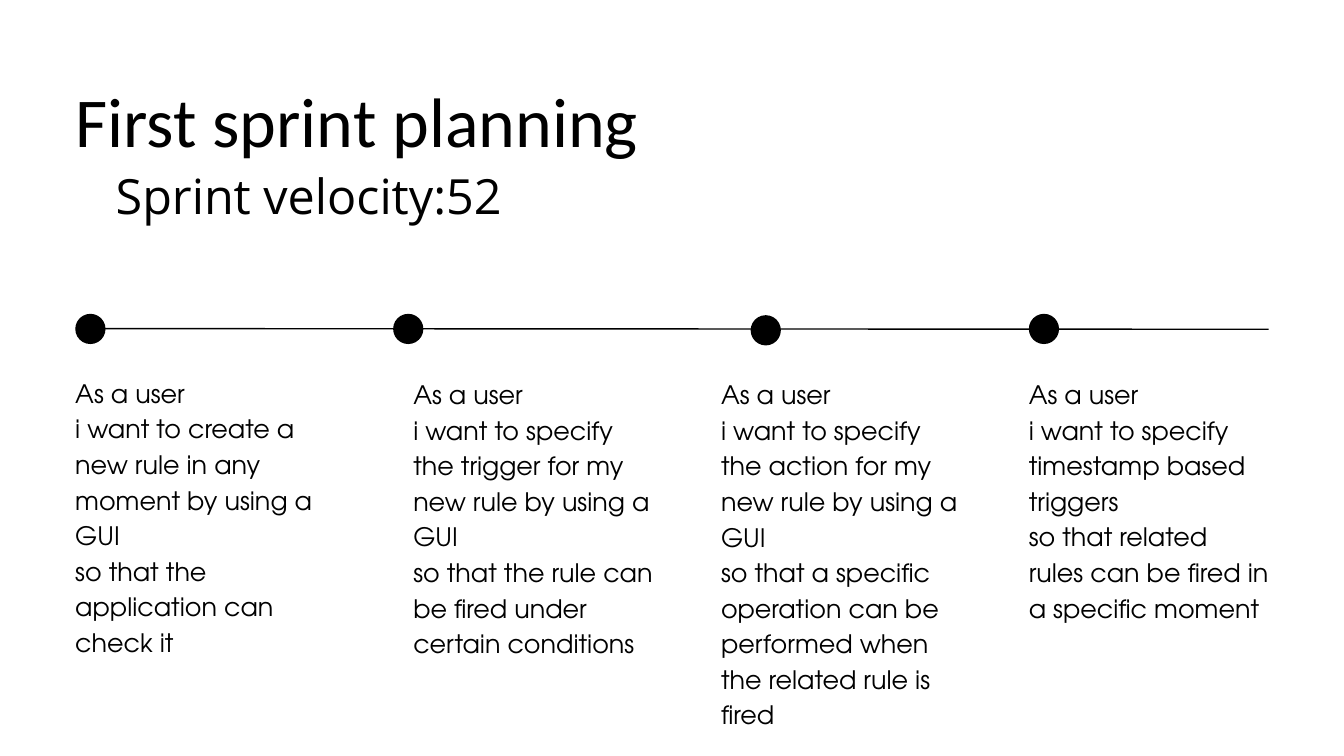
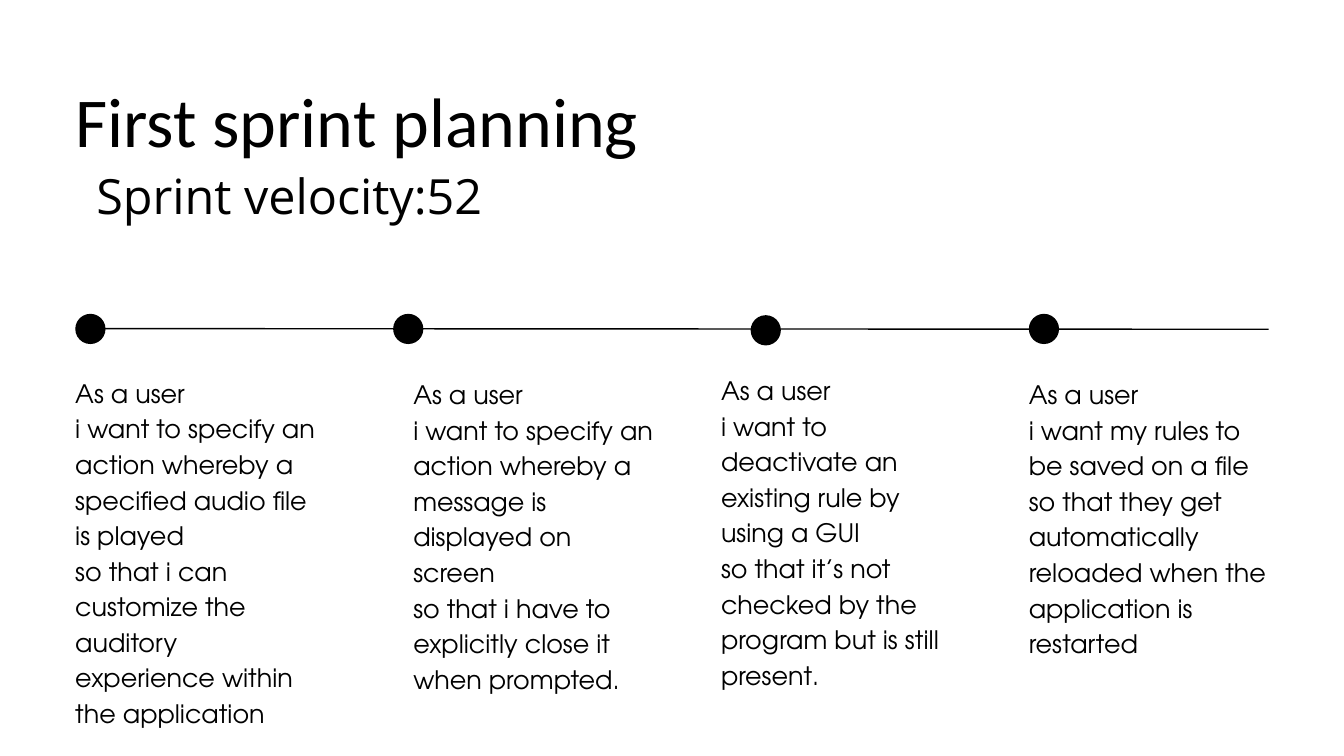
"""Build two sprint planning slides with user stories along a timeline."""

import dataclasses

import pptx
import pptx.dml.color
import pptx.enum.shapes
import pptx.enum.text
import pptx.oxml
import pptx.presentation
import pptx.slide
import pptx.util
from pptx.util import Inches

BLACK = pptx.dml.color.RGBColor(0x00, 0x00, 0x00)
WHITE = pptx.dml.color.RGBColor(0xFF, 0xFF, 0xFF)
TITLE_FONT = "Calibri"
VELOCITY_FONT = "Open Sans"
STORY_FONT = "TeX Gyre Adventor"
STORY_LEFTS = (Inches(1.12), Inches(6.15), Inches(10.73), Inches(15.31))
STORY_WIDTH = Inches(3.57)
DOT_SIZE = Inches(0.45)
DOT_PLACES = (
    (Inches(1.12), Inches(4.67)),
    (Inches(5.85), Inches(4.67)),
    (Inches(11.17), Inches(4.69)),
    (Inches(15.31), Inches(4.67)),
)


@dataclasses.dataclass(frozen=True)
class Story:
    """A user story: its wish, its purpose and where its text box sits."""

    wish: str
    purpose: str
    height: pptx.util.Length
    top: pptx.util.Length = Inches(5.57)


@dataclasses.dataclass(frozen=True)
class SprintPage:
    """The velocity line and the stories of one slide."""

    velocity: str
    velocity_width: pptx.util.Length
    stories: tuple[Story, ...]


SPRINT_PAGES = (
    SprintPage("Sprint velocity:52", Inches(6.81), (
        Story("i want to create a new rule in any moment by using a GUI",
              "so that the application can check it", Inches(4.16), Inches(5.55)),
        Story("i want to specify the trigger for my new rule by using a GUI",
              "so that the rule can be fired under certain conditions", Inches(4.16)),
        Story("i want to specify the action for my new rule by using a GUI",
              "so that a specific operation can be performed when the related rule is fired",
              Inches(5.21)),
        Story("i want to specify timestamp based triggers",
              "so that related rules can be fired in a specific moment", Inches(3.64)),
    )),
    SprintPage("Sprint velocity:52 ", Inches(6.42), (
        Story("i want to specify an action whereby a specified audio file is played",
              "so that i can customize the auditory experience within the application",
              Inches(5.21), Inches(5.55)),
        Story("i want to specify an action whereby a message is displayed on screen",
              "so that i have to explicitly close it when prompted.", Inches(4.16)),
        Story("i want to deactivate an existing rule by using a GUI",
              "so that it’s not checked by the program but is still present.",
              Inches(4.68), Inches(5.51)),
        Story("i want my rules to be saved on a file",
              "so that they get automatically reloaded when the application is restarted",
              Inches(4.16)),
    )),
)


def add_text(
    page: pptx.slide.Slide,
    text: str,
    *,
    left: pptx.util.Length,
    top: pptx.util.Length,
    width: pptx.util.Length,
    height: pptx.util.Length,
    font: str,
    size: float,
    spacing: float,
    align: pptx.enum.text.PP_ALIGN = pptx.enum.text.PP_ALIGN.LEFT,
) -> None:
    """Add a text box with one paragraph for each line of the text."""
    box = page.shapes.add_textbox(left, top, width, height)
    frame = box.text_frame
    frame.word_wrap = True
    frame.auto_size = pptx.enum.text.MSO_AUTO_SIZE.SHAPE_TO_FIT_TEXT
    frame.margin_left = frame.margin_right = 0
    frame.margin_top = frame.margin_bottom = 0
    for index, line in enumerate(text.split("\n")):
        para = frame.add_paragraph() if index else frame.paragraphs[0]
        para.alignment = align
        para.line_spacing = pptx.util.Pt(spacing)
        span = para.add_run()
        span.text = line
        span.font.name = font
        span.font.size = pptx.util.Pt(size)
        span.font.color.rgb = BLACK


def add_timeline(page: pptx.slide.Slide) -> None:
    """Draw the timeline and its dots."""
    line = page.shapes.add_connector(
        pptx.enum.shapes.MSO_CONNECTOR.STRAIGHT,
        Inches(1.13), Inches(4.89), Inches(18.88), Inches(4.9),
    )
    line.line.color.rgb = BLACK
    line.line.width = pptx.util.Pt(1.5)
    properties = line._element.spPr
    properties.append(pptx.oxml.parse_xml(
        '<a:effectLst xmlns:a="http://schemas.openxmlformats.org/drawingml/2006/main"/>'
    ))
    for left, top in DOT_PLACES:
        dot = page.shapes.add_shape(
            pptx.enum.shapes.MSO_SHAPE.OVAL, left, top, DOT_SIZE, DOT_SIZE
        )
        dot.shadow.inherit = False
        dot.fill.solid()
        dot.fill.fore_color.rgb = BLACK
        dot.line.fill.background()


def add_sprint_page(deck: pptx.presentation.Presentation, sprint: SprintPage) -> None:
    """Add a slide with the title, the timeline, the stories and the velocity."""
    page = deck.slides.add_slide(deck.slide_layouts[6])
    page.background.fill.solid()
    page.background.fill.fore_color.rgb = WHITE
    add_text(page, "First sprint planning", left=Inches(1.12), top=Inches(1.05),
             width=Inches(12.26), height=Inches(1.32),
             font=TITLE_FONT, size=75, spacing=97.5)
    add_timeline(page)
    for left, story in zip(STORY_LEFTS, sprint.stories):
        add_text(page, f"As a user\n{story.wish}\n{story.purpose}", left=left,
                 top=story.top, width=STORY_WIDTH, height=story.height,
                 font=STORY_FONT, size=27.2, spacing=38.1)
    add_text(page, sprint.velocity, left=Inches(1.19), top=Inches(2.33),
             width=sprint.velocity_width, height=Inches(0.96),
             font=VELOCITY_FONT, size=52, spacing=72.8,
             align=pptx.enum.text.PP_ALIGN.CENTER)


def main() -> None:
    """Build the deck and save it."""
    deck = pptx.Presentation()
    deck.slide_width = Inches(20)
    deck.slide_height = Inches(11.25)
    for sprint in SPRINT_PAGES:
        add_sprint_page(deck, sprint)
    deck.save("out.pptx")


if __name__ == "__main__":
    main()
